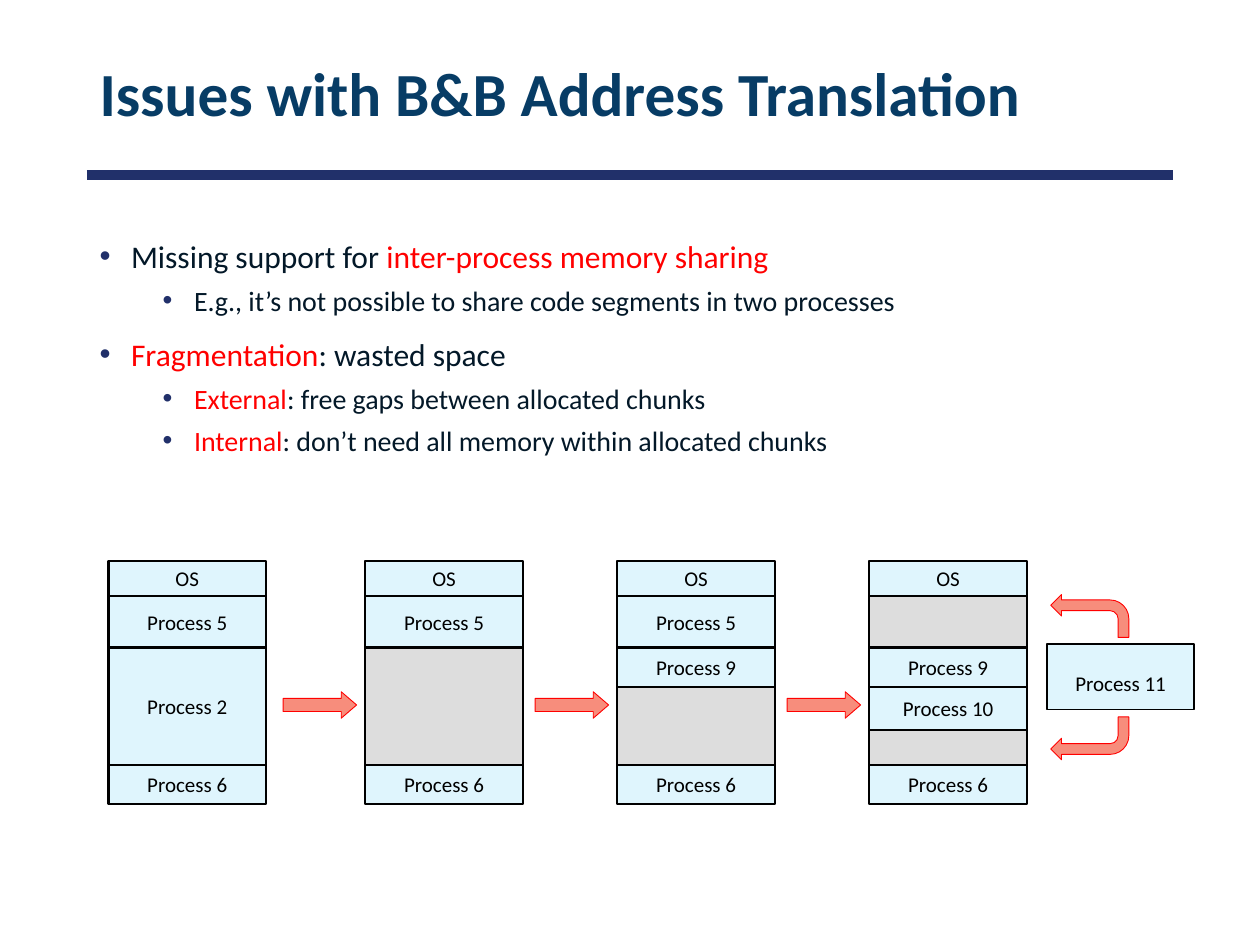
from lxml import etree
from pptx import Presentation
from pptx.dml.color import RGBColor
from pptx.enum.shapes import MSO_CONNECTOR, MSO_SHAPE
from pptx.enum.text import MSO_ANCHOR, MSO_AUTO_SIZE, PP_ALIGN
from pptx.oxml.ns import qn
from pptx.util import Pt

STRAIGHT = MSO_CONNECTOR.STRAIGHT
RECT, RIGHT_ARROW, BENT_ARROW = MSO_SHAPE.RECTANGLE, MSO_SHAPE.RIGHT_ARROW, MSO_SHAPE.BENT_ARROW
MIDDLE, TOP = MSO_ANCHOR.MIDDLE, MSO_ANCHOR.TOP
LEFT, CENTER = PP_ALIGN.LEFT, PP_ALIGN.CENTER
NO_AUTOFIT = MSO_AUTO_SIZE.NONE

FONT = "Calibri"
COLORS = {
    "title": "073C65", "rule": "21306A", "text": "031828", "highlight": "FF0000",
    "black": "000000", "used": "DFF5FD", "free": "DDDDDD", "arrow": "F78D7C",
}

MARGIN, CONTENT_WIDTH = 49.7, 620.6
COLUMN_WIDTH = 90
MEMORY_TOP, MEMORY_BOTTOM = 320.4, 459.4
OS_END, P5_END, P9_END, P10_END, P6_START = 340.6, 370, 392.6, 417, 437

# Each bullet: level, then (text, color) runs
BULLETS = [
    (0, [("Missing support for ", "text"), ("inter-process memory sharing", "highlight")]),
    (1, [("E.g., it’s not possible to share code segments in two processes", "text")]),
    (0, [("Fragmentation", "highlight"), (": wasted space", "text")]),
    (1, [("External", "highlight"), (": free gaps between allocated chunks", "text")]),
    (1, [("Internal", "highlight"),
         (": don’t need all memory within allocated chunks", "text")]),
]
# Per level: size, space before, left margin
BULLET_STYLES = [(18, 10, 18), (16, 5, 54)]

# Each memory state: left edge, then (top, occupant) bands; None is free space
MEMORY_STATES = [
    (62, [(MEMORY_TOP, "OS"), (OS_END, "Process 5"), (P5_END, "Process 2"),
          (P6_START, "Process 6")]),
    (208.8, [(MEMORY_TOP, "OS"), (OS_END, "Process 5"), (P5_END, None),
             (P6_START, "Process 6")]),
    (352.8, [(MEMORY_TOP, "OS"), (OS_END, "Process 5"), (P5_END, "Process 9"),
             (P9_END, None), (P6_START, "Process 6")]),
    (496.8, [(MEMORY_TOP, "OS"), (OS_END, None), (P5_END, "Process 9"),
             (P9_END, "Process 10"), (P10_END, None), (P6_START, "Process 6")]),
]


def rgb(name):
    return RGBColor.from_string(COLORS[name])


def place(shape, left, top, width, height):
    shape.left, shape.top, shape.width, shape.height = Pt(left), Pt(top), Pt(width), Pt(height)


def style_run(run, size, color, bold=False):
    run.font.name, run.font.size, run.font.bold = FONT, Pt(size), bold
    run.font.color.rgb = rgb(color)


def set_label(frame, label):
    frame.text = label
    frame.vertical_anchor = MIDDLE
    frame.word_wrap = True
    frame.margin_top = frame.margin_bottom = 0
    frame.paragraphs[0].alignment = CENTER
    style_run(frame.paragraphs[0].runs[0], 12, "black")


def add_block(slide, kind, box, fill, line="black", line_width=1.25):
    block = slide.shapes.add_shape(kind, *map(Pt, box))
    block.shadow.inherit = False
    block.fill.solid()
    block.fill.fore_color.rgb = rgb(fill)
    block.line.color.rgb = rgb(line)
    block.line.width = Pt(line_width)
    return block


def add_horizontal(slide, left, y, width, color, line_width):
    line = slide.shapes.add_connector(STRAIGHT, Pt(left), Pt(y), Pt(left + width), Pt(y))
    line.line.color.rgb = rgb(color)
    line.line.width = Pt(line_width)
    etree.SubElement(line.element.spPr, qn("a:effectLst"))


def add_title(slide):
    title = slide.shapes.title
    place(title, MARGIN, 16.6, CONTENT_WIDTH, 77.8)
    frame = title.text_frame
    frame.text = "Issues with B&B Address Translation"
    frame.auto_size = NO_AUTOFIT
    frame.vertical_anchor = MIDDLE
    heading = frame.paragraphs[0]
    heading.alignment = LEFT
    heading.line_spacing = 0.9
    style_run(heading.runs[0], 35, "title", bold=True)


def set_bullet(paragraph, left_margin):
    props = paragraph._p.get_or_add_pPr()
    props.set("marL", str(Pt(left_margin)))
    props.set("indent", str(-Pt(18)))
    color = etree.SubElement(props, qn("a:buClr"))
    etree.SubElement(color, qn("a:srgbClr"), val=COLORS["rule"])
    etree.SubElement(props, qn("a:buFont"), typeface="Arial")
    etree.SubElement(props, qn("a:buChar"), char="•")


def add_bullets(slide):
    body = slide.placeholders[1]
    place(body, MARGIN, 131.8, CONTENT_WIDTH, 391)
    frame = body.text_frame
    frame.auto_size = NO_AUTOFIT
    frame.vertical_anchor = TOP
    for index, (level, parts) in enumerate(BULLETS):
        bullet = frame.add_paragraph() if index else frame.paragraphs[0]
        size, space_before, left_margin = BULLET_STYLES[level]
        bullet.level = level
        bullet.space_before = Pt(space_before)
        set_bullet(bullet, left_margin)
        for words, color in parts:
            run = bullet.add_run()
            run.text = words
            style_run(run, size, color)


def add_memory(slide, left, bands):
    """Draw one memory column with its dividers, free gaps and occupants."""
    add_block(slide, RECT, (left, MEMORY_TOP, COLUMN_WIDTH, MEMORY_BOTTOM - MEMORY_TOP), "used")
    for top, _ in bands[1:]:
        add_horizontal(slide, left, top, COLUMN_WIDTH, "black", 1.25)
    bottoms = [top for top, _ in bands[1:]] + [MEMORY_BOTTOM]
    for (top, occupant), bottom in zip(bands, bottoms):
        if occupant is None:
            add_block(slide, RECT, (left, top, COLUMN_WIDTH, bottom - top), "free")
        else:
            label_top = (top + bottom) / 2 - 10
            label = slide.shapes.add_textbox(Pt(left + 3), Pt(label_top), Pt(84), Pt(20))
            set_label(label.text_frame, occupant)


def add_step_arrow(slide, next_left):
    arrow = add_block(slide, RIGHT_ARROW, (next_left - 47, 395.3, 42, 15.1),
                      "arrow", "highlight", 0.5)
    arrow.adjustments[1] = 0.58


def add_waiting_process(slide):
    """Draw the process that fits neither gap, with an arrow to each gap."""
    process = add_block(slide, RECT, (598.3, 368, 84.2, 37.4), "used", line_width=1)
    set_label(process.text_frame, "Process 11")
    process.text_frame.margin_top = Pt(7)
    for top, flips in ((339.8, ["flipH"]), (409.7, ["flipH", "flipV"])):
        arrow = add_block(slide, BENT_ARROW, (600.5, top, 44.6, 24.5),
                          "arrow", "highlight", 0.5)
        for flip in flips:
            arrow.element.spPr.xfrm.set(flip, "1")


def main():
    deck = Presentation()
    deck.slide_width, deck.slide_height = Pt(720), Pt(540)
    slide = deck.slides.add_slide(deck.slide_layouts[1])
    add_horizontal(slide, MARGIN, 100, CONTENT_WIDTH, "rule", 6)
    add_title(slide)
    add_bullets(slide)
    for index, (left, bands) in enumerate(MEMORY_STATES):
        add_memory(slide, left, bands)
        if index:
            add_step_arrow(slide, left)
    add_waiting_process(slide)
    deck.save("out.pptx")


if __name__ == "__main__":
    main()
